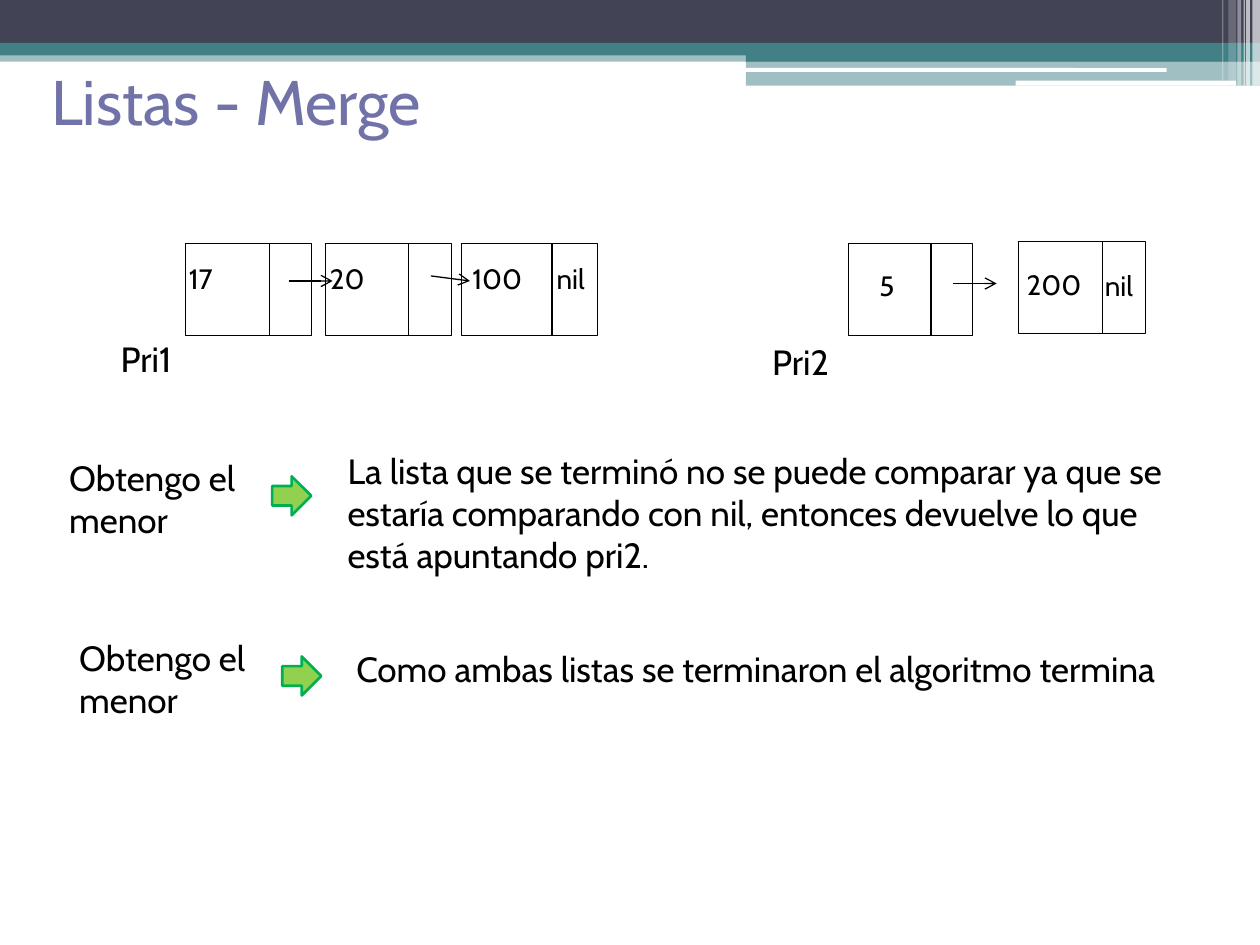
from typing import NamedTuple, Optional

import lxml.etree
import pptx
import pptx.dml.color
import pptx.enum.shapes
import pptx.enum.text
import pptx.oxml.ns
import pptx.slide
import pptx.util

Inches = pptx.util.Inches
Pt = pptx.util.Pt
MSO_SHAPE = pptx.enum.shapes.MSO_SHAPE
PP_ALIGN = pptx.enum.text.PP_ALIGN
MSO_ANCHOR = pptx.enum.text.MSO_ANCHOR
qn = pptx.oxml.ns.qn

FONT = "Cabin"
COLORS = {
    "navy": "424456",
    "teal": "438086",
    "white": "FFFFFF",
    "black": "000000",
    "title": "7172A7",
    "green": "92D050",
    "dark_green": "00B050",
}


class Band(NamedTuple):
    """A bar of the header decoration; alpha is opacity in percent."""
    left: float
    top: float
    width: float
    height: float
    color: str
    alpha: int = 100
    shape: int = MSO_SHAPE.RECTANGLE


class Node(NamedTuple):
    """A list node: outer box and the x of its divider."""
    left: float
    top: float
    width: float
    divider: float


class Label(NamedTuple):
    """A piece of text in a box."""
    text: str
    left: float
    top: float
    width: float
    height: float = 0.52
    size: int = 16
    color: str = "black"
    align: int = PP_ALIGN.LEFT
    anchor: int = MSO_ANCHOR.TOP


class Link(NamedTuple):
    """A pointer from one node to the next."""
    x1: float
    y1: float
    x2: float
    y2: float


ROUND = MSO_SHAPE.ROUNDED_RECTANGLE
NODE_HEIGHT = 0.73

BANDS = [
    Band(0, 0.4, 10, 0.09, "teal", 50),
    Band(0, 0, 10, 0.34, "navy"),
    Band(0, 0.34, 10, 0.1, "teal"),
    Band(5.92, 0.39, 4.08, 0.1, "teal"),
    Band(5.92, 0.48, 4.08, 0.2, "teal", 50),
    Band(5.91, 0.54, 3.35, 0.03, "white", shape=ROUND),
    Band(8.06, 0.64, 1.75, 0.04, "white", shape=ROUND),
    Band(9.94, 0, 0.06, 0.68, "white", 65),
    Band(9.89, 0, 0.03, 0.68, "white", 65),
    Band(9.87, 0, 0.01, 0.68, "white", 60),
    Band(9.82, 0, 0.03, 0.68, "white", 40),
    Band(9.75, 0, 0.06, 0.64, "white", 20),
    Band(9.7, 0, 0.01, 0.64, "white", 30),
]
NODES = [
    Node(1.47, 1.93, 1, 2.14),
    Node(2.58, 1.93, 1, 3.24),
    Node(3.66, 1.93, 1.08, 4.38),
    Node(6.73, 1.93, 0.99, 7.39),
    Node(8.08, 1.92, 1.01, 8.75),
]
LINKS = [
    Link(2.29, 2.23, 2.64, 2.23),
    Link(3.42, 2.19, 3.73, 2.23),
    Link(7.56, 2.25, 7.91, 2.25),
]
LABELS = [
    Label("Listas - Merge", 0.31, 0.34, 9.33, 0.91, 36, "title", anchor=MSO_ANCHOR.MIDDLE),
    Label("17", 1.4, 2.03, 0.62),
    Label("20", 2.52, 2.03, 0.68),
    Label("100", 3.65, 2.03, 0.7),
    Label("nil", 4.32, 2.03, 0.5),
    Label("5", 6.69, 2.08, 0.7, align=PP_ALIGN.CENTER),
    Label("200", 8.05, 2.07, 0.82),
    Label("nil", 8.67, 2.08, 0.5),
    Label("Pri1", 0.86, 2.63, 0.7, 0.73, 20),
    Label("Pri2", 6.03, 2.65, 0.7, 0.73, 20),
    Label("Obtengo el menor", 0.45, 3.57, 2.25, 0.73, 20),
    Label("La lista que se terminó no se puede comparar ya que se estaría comparando "
          "con nil, entonces devuelve lo que está apuntando pri2.",
          2.66, 3.52, 6.95, 1.41, 20),
    Label("Obtengo el menor", 0.53, 5, 2.25, 0.73, 20),
    Label("Como ambas listas se terminaron el algoritmo termina", 2.73, 5.09, 6.95, 0.79, 20),
]
STEP_ARROWS = [(2.16, 3.78), (2.24, 5.21)]


def rgb(name: str) -> pptx.dml.color.RGBColor:
    """Return the named colour."""
    return pptx.dml.color.RGBColor.from_string(COLORS[name])


def add_box(s: pptx.slide.Slide, shape: int, left: float, top: float, width: float,
            height: float, fill: Optional[str] = None, line: Optional[str] = None,
            weight: float = 0.5, alpha: int = 100) -> None:
    """Draw a preset shape with optional fill, outline and opacity."""
    sp = s.shapes.add_shape(shape, Inches(left), Inches(top), Inches(width), Inches(height))
    sp.shadow.inherit = False
    if fill:
        sp.fill.solid()
        sp.fill.fore_color.rgb = rgb(fill)
        if alpha < 100:
            color = sp.fill._xPr.find(".//" + qn("a:srgbClr"))
            lxml.etree.SubElement(color, qn("a:alpha"), val=str(alpha * 1000))
    else:
        sp.fill.background()
    if line:
        sp.line.color.rgb = rgb(line)
        sp.line.width = Pt(weight)
    else:
        sp.line.fill.background()


def add_line(s: pptx.slide.Slide, link: Link, arrow: bool = False) -> None:
    """Draw a thin black line, with an open arrowhead if asked."""
    sp = s.shapes.add_connector(pptx.enum.shapes.MSO_CONNECTOR.STRAIGHT,
                                *(Inches(v) for v in link))
    sp.line.color.rgb = rgb("black")
    sp.line.width = Pt(0.75)
    if arrow:
        lxml.etree.SubElement(sp.line._get_or_add_ln(), qn("a:tailEnd"), type="arrow")
    lxml.etree.SubElement(sp._element.spPr, qn("a:effectLst"))


def add_node(s: pptx.slide.Slide, node: Node) -> None:
    """Draw a node box split into value and pointer."""
    add_box(s, MSO_SHAPE.RECTANGLE, node.left, node.top, node.width, NODE_HEIGHT, line="black")
    add_line(s, Link(node.divider, node.top, node.divider, node.top + NODE_HEIGHT))


def add_label(s: pptx.slide.Slide, label: Label) -> None:
    """Write a label in a wrapping text box."""
    sp = s.shapes.add_textbox(Inches(label.left), Inches(label.top),
                              Inches(label.width), Inches(label.height))
    tf = sp.text_frame
    tf.word_wrap = True
    tf.vertical_anchor = label.anchor
    p = tf.paragraphs[0]
    p.text = label.text
    p.alignment = label.align
    p.font.name = FONT
    p.font.size = Pt(label.size)
    p.font.color.rgb = rgb(label.color)


def main() -> None:
    """Build and save the slide."""
    prs = pptx.Presentation()
    prs.slide_width, prs.slide_height = Inches(10), Inches(7.5)
    s = prs.slides.add_slide(prs.slide_layouts[6])
    for b in BANDS:
        add_box(s, b.shape, b.left, b.top, b.width, b.height, b.color, alpha=b.alpha)
    for node in NODES:
        add_node(s, node)
    for link in LINKS:
        add_line(s, link, arrow=True)
    for left, top in STEP_ARROWS:
        add_box(s, MSO_SHAPE.RIGHT_ARROW, left, top, 0.31, 0.31, "green", "dark_green", 1.5)
    for label in LABELS:
        add_label(s, label)
    prs.save("out.pptx")


main()
